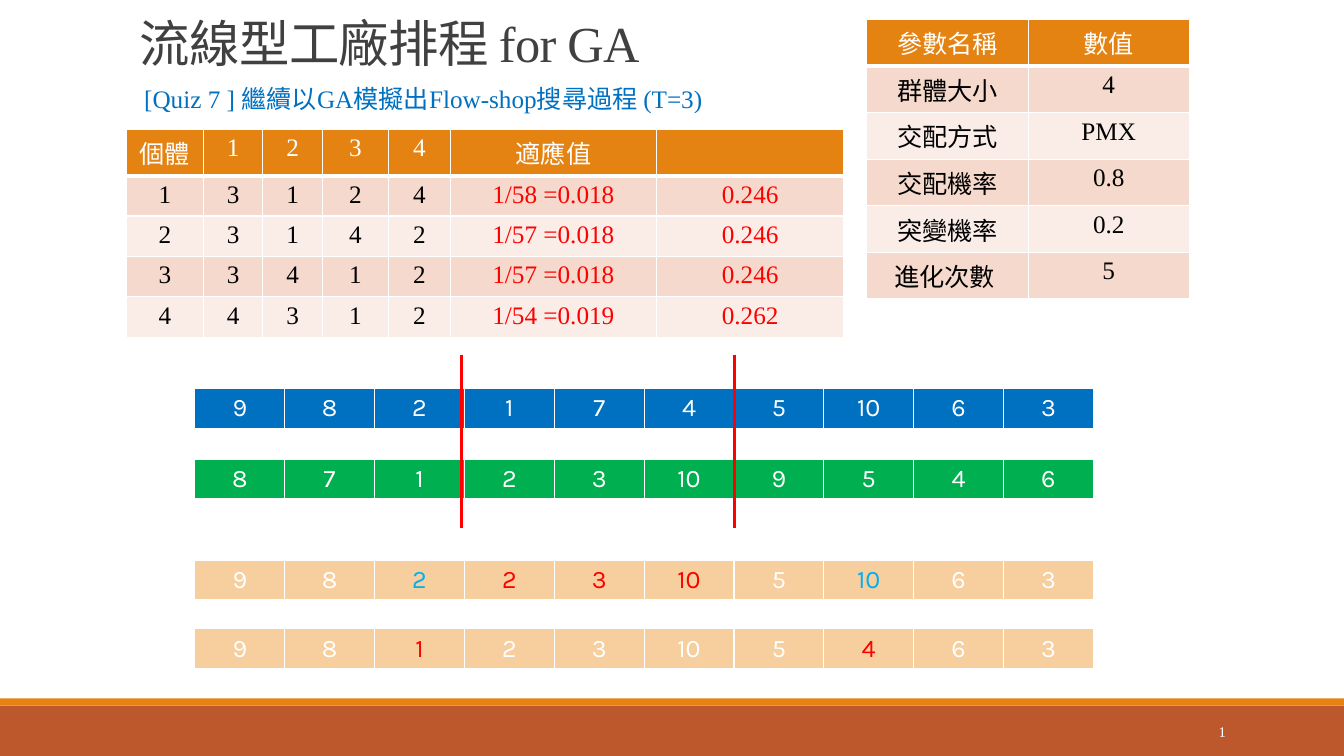
"""Build a slide on flow-shop scheduling with a genetic algorithm."""
from dataclasses import dataclass, field

from lxml.etree import SubElement
from pptx import Presentation
from pptx.dml.color import RGBColor
from pptx.enum.shapes import MSO_CONNECTOR, MSO_SHAPE
from pptx.enum.text import MSO_ANCHOR, PP_ALIGN
from pptx.oxml.ns import qn
from pptx.util import Pt

SERIF, SANS = "Times New Roman", "Karla"
WHITE, BLACK, RED, SKY = "FFFFFF", "000000", "FF0000", "00B0F0"
BLUE, GREEN, PEACH = "0070C0", "00B050", "F7CE9D"
ORANGE, RUST, GRAY = "E48312", "BD582C", "404040"
BANDS = ("F5D9CC", "FAEDE7")
HEADER_HEIGHT, ROW_HEIGHT = 33.3, 27.2
GENE_WIDTH, GENE_HEIGHT = 64.2, 29.2


@dataclass
class Grid:
    left: float
    top: float
    widths: list[float]
    heights: list[float]
    rows: list[list[str]]


@dataclass
class Chromosome:
    top: float
    fill: str
    genes: str
    marks: dict[int, str] = field(default_factory=dict)


@dataclass
class TextBox:
    text: str
    frame: tuple[float, float, float, float]
    anchor: MSO_ANCHOR
    side_inset: float
    style: dict


PARAMETERS = Grid(619.2, 13.9, [115.2] * 2, [HEADER_HEIGHT] * 6, [
    ["參數名稱", "數值"],
    ["群體大小", "4"],
    ["交配方式", "PMX"],
    ["交配機率", "0.8"],
    ["突變機率", "0.2"],
    ["進化次數 ", "5"],
])
POPULATION = Grid(
    90.2, 92.2, [55.1, 42.5, 42.5, 47.2, 44.2, 147.3, 133.8],
    [HEADER_HEIGHT] + [ROW_HEIGHT] * 4, [
        ["個體", "1", "2", "3", "4", "適應值", ""],
        ["1", "3", "1", "2", "4", "1/58 =0.018", "0.246"],
        ["2", "3", "1", "4", "2", "1/57 =0.018", "0.246"],
        ["3", "3", "4", "1", "2", "1/57 =0.018", "0.246"],
        ["4", "4", "3", "1", "2", "1/54 =0.019", "0.262"],
    ])
CHROMOSOMES = [
    Chromosome(277.5, BLUE, "9 8 2 1 7 4 5 10 6 3"),
    Chromosome(328, GREEN, "8 7 1 2 3 10 9 5 4 6"),
    Chromosome(400.3, PEACH, "9 8 2 2 3 10 5 10 6 3",
               {2: SKY, 3: RED, 4: RED, 5: RED, 7: SKY}),
    Chromosome(449.2, PEACH, "9 8 1 2 3 10 5 4 6 3", {2: RED, 7: RED}),
]
TEXT_BOXES = [
    TextBox("1", (779.8, 508.3, 103, 28.8), MSO_ANCHOR.MIDDLE, 7.2,
            dict(size=10.5, color=WHITE, align=PP_ALIGN.RIGHT)),
    TextBox("[Quiz 7 ] 繼續以GA模擬出Flow-shop搜尋過程 (T=3)",
            (103, 58.3, 453.6, 29.5), MSO_ANCHOR.TOP, 0,
            dict(color=BLUE, line_spacing=0.9, before=12, after=2)),
    TextBox("流線型工廠排程 for GA", (92.9, 9.4, 643.7, 46.1),
            MSO_ANCHOR.BOTTOM, 7.2,
            dict(size=36, color=GRAY, line_spacing=0.85, tracking=-50)),
]


def paint(target, color: str) -> None:
    """Give a fill or line format a solid colour."""
    target.solid()
    target.fore_color.rgb = RGBColor.from_string(color)


def write(frame, text: str, *, size: float = 18, color: str = BLACK,
          font: str = SERIF, align=PP_ALIGN.LEFT, line_spacing: float = 1.0,
          before: float = 0, after: float = 0, tracking: int = 0) -> None:
    """Write one formatted paragraph into a text frame."""
    para = frame.paragraphs[0]
    para.alignment, para.line_spacing = align, line_spacing
    para.space_before, para.space_after = Pt(before), Pt(after)
    para.font.size = Pt(size)
    if not text:
        return
    span = para.add_run()
    span.text = text
    span.font.size, span.font.name, span.font.bold = Pt(size), font, False
    paint(span.font.fill, color)
    if tracking:
        span.font._element.set("spc", str(tracking))


def add_borders(cell, bottom: float) -> None:
    """Draw white cell borders, with a chosen width at the bottom."""
    properties = cell._tc.get_or_add_tcPr()
    for index, (side, width) in enumerate(
            (("L", 1), ("R", 1), ("T", 1), ("B", bottom))):
        edge = properties.makeelement(qn(f"a:ln{side}"), {"w": str(Pt(width))})
        solid = SubElement(edge, qn("a:solidFill"))
        SubElement(solid, qn("a:srgbClr"), val=WHITE)
        properties.insert(index, edge)


def add_grid(page, grid: Grid):
    """Add an unstyled table of the grid's size."""
    shape = page.shapes.add_table(
        len(grid.heights), len(grid.widths), Pt(grid.left), Pt(grid.top),
        Pt(sum(grid.widths)), Pt(sum(grid.heights)))
    table = shape.table
    table.first_row = table.horz_banding = False
    for column, width in zip(table.columns, grid.widths):
        column.width = Pt(width)
    for row, height in zip(table.rows, grid.heights):
        row.height = Pt(height)
    return table


def fill_cell(cell, text: str, fill: str, color: str, font: str,
              bottom: float) -> None:
    """Fill one cell with colour, borders and centred text."""
    paint(cell.fill, fill)
    add_borders(cell, bottom)
    write(cell.text_frame, text, color=color, font=font, align=PP_ALIGN.CENTER)


def add_banded_table(page, grid: Grid) -> None:
    """Add a table with an orange header and banded rows."""
    table = add_grid(page, grid)
    for row, texts in enumerate(grid.rows):
        for column, text in enumerate(texts):
            if row == 0:
                fill, color, bottom = ORANGE, WHITE, 3
            else:
                fill, bottom = BANDS[(row - 1) % 2], 1
                color = RED if column >= 5 else BLACK
            fill_cell(table.cell(row, column), text, fill, color, SERIF, bottom)


def add_chromosome(page, chromosome: Chromosome) -> None:
    """Add one chromosome as a single-row table."""
    genes = chromosome.genes.split()
    table = add_grid(page, Grid(139.2, chromosome.top, [GENE_WIDTH] * len(genes),
                                [GENE_HEIGHT], [genes]))
    for index, gene in enumerate(genes):
        fill_cell(table.cell(0, index), gene, chromosome.fill,
                  chromosome.marks.get(index, WHITE), SANS, 3)


def add_band(page, top: float, height: float, color: str) -> None:
    """Add a full-width footer band."""
    band = page.shapes.add_shape(
        MSO_SHAPE.RECTANGLE, Pt(0), Pt(top), Pt(960), Pt(height))
    band.shadow.inherit = False
    paint(band.fill, color)
    band.line.fill.background()


def add_text_box(page, item: TextBox) -> None:
    """Add a wrapped text box."""
    box = page.shapes.add_textbox(*map(Pt, item.frame))
    frame = box.text_frame
    frame.word_wrap, frame.vertical_anchor = True, item.anchor
    frame.margin_left = frame.margin_right = Pt(item.side_inset)
    write(frame, item.text, **item.style)


def add_cut(page, left: float) -> None:
    """Add a red vertical crossover line."""
    cut = page.shapes.add_connector(
        MSO_CONNECTOR.STRAIGHT, Pt(left), Pt(253.4), Pt(left), Pt(377.3))
    cut.line.width = Pt(2)
    paint(cut.line.fill, RED)
    SubElement(cut._element.spPr, qn("a:effectLst"))


def main() -> None:
    """Build and save the deck."""
    deck = Presentation()
    deck.slide_width, deck.slide_height = Pt(960), Pt(540)
    page = deck.slides.add_slide(deck.slide_layouts[6])
    add_band(page, 504, 36, RUST)
    add_band(page, 498.8, 5.2, ORANGE)
    for item in TEXT_BOXES:
        add_text_box(page, item)
    for grid in (PARAMETERS, POPULATION):
        add_banded_table(page, grid)
    for chromosome in CHROMOSOMES:
        add_chromosome(page, chromosome)
    for left in (329.4, 524.9):
        add_cut(page, left)
    deck.save("out.pptx")


if __name__ == "__main__":
    main()
